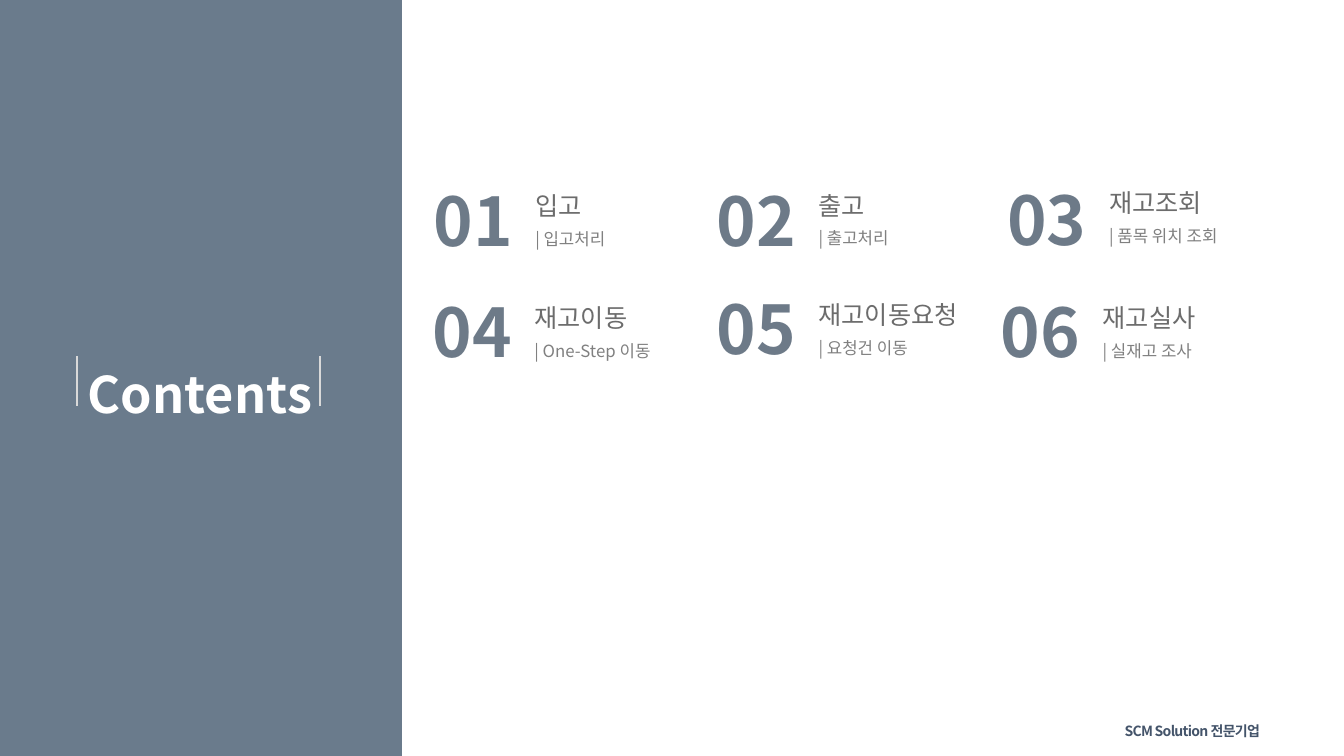
from dataclasses import dataclass

import pptx
import pptx.dml.color
import pptx.enum.shapes
import pptx.enum.text
import pptx.oxml.ns
import pptx.util

FONT = "Noto Sans CJK KR"
COLORS = {
    "panel": "6A7B8C",
    "title": "FFFFFF",
    "rule": "D9D9D9",
    "number": "6D7A88",
    "heading": "6C6C6C",
    "detail": "808080",
    "footer": "44546A",
}
ALIGN = pptx.enum.text.PP_ALIGN
HEADING_OFFSET = 1.91
DETAIL_OFFSET = 0.96


@dataclass(frozen=True)
class Style:
    size: float
    color: str
    bold: bool = False
    align: ALIGN = ALIGN.LEFT
    wrap: bool = True


@dataclass(frozen=True)
class Chapter:
    number: str
    heading: str
    detail: str
    left: float
    top: float
    heading_top: float


TITLE = Style(36, "title", True, ALIGN.CENTER, False)
NUMBER = Style(48, "number", True, ALIGN.CENTER, False)
HEADING = Style(18, "heading")
DETAIL = Style(12, "detail")
FOOTER = Style(10, "footer", True, ALIGN.RIGHT)

CHAPTERS = [
    Chapter("01", "입고", "| 입고처리", 11.33, 4.39, 4.67),
    Chapter("02", "출고", "| 출고처리", 18.47, 4.39, 4.66),
    Chapter("03", "재고조회", "| 품목 위치 조회", 25.79, 4.37, 4.6),
    Chapter("04", "재고이동", "| One-Step 이동", 11.31, 7.19, 7.49),
    Chapter("05", "재고이동요청", "| 요청건 이동", 18.47, 7.11, 7.42),
    Chapter("06", "재고실사", "| 실재고 조사", 25.63, 7.19, 7.49),
]


def color(name: str) -> pptx.dml.color.RGBColor:
    return pptx.dml.color.RGBColor.from_string(COLORS[name])


def place(shape, left: float, top: float, width: float, height: float) -> None:
    shape.left, shape.top = pptx.util.Cm(left), pptx.util.Cm(top)
    shape.width, shape.height = pptx.util.Cm(width), pptx.util.Cm(height)


def write(shape, text: str, style: Style):
    """Fill a text shape with one styled run and return the paragraph."""
    frame = shape.text_frame
    frame.word_wrap = style.wrap
    frame.auto_size = pptx.enum.text.MSO_AUTO_SIZE.NONE
    frame.vertical_anchor = pptx.enum.text.MSO_ANCHOR.TOP
    paragraph = frame.paragraphs[0]
    paragraph.alignment = style.align
    run = paragraph.add_run()
    run.text = text
    run.font.size = pptx.util.Pt(style.size)
    run.font.bold = style.bold
    run.font.color.rgb = color(style.color)
    run.font.name = FONT
    properties = run.font._element
    east_asian = pptx.oxml.ns.qn("a:ea")
    properties.find(pptx.oxml.ns.qn("a:latin")).addnext(
        properties.makeelement(east_asian, {"typeface": FONT})
    )
    return paragraph


def add_text(slide, left: float, top: float, width: float, height: float,
             text: str, style: Style):
    box = slide.shapes.add_textbox(0, 0, 0, 0)
    place(box, left, top, width, height)
    return write(box, text, style)


def add_panel(slide) -> None:
    """Add the side panel behind the title placeholder."""
    panel = slide.shapes.add_shape(pptx.enum.shapes.MSO_SHAPE.RECTANGLE, 0, 0, 0, 0)
    place(panel, 0, 0, 10.13, 19.05)
    panel.shadow.inherit = False
    panel.fill.solid()
    panel.fill.fore_color.rgb = color("panel")
    panel.line.fill.background()
    slide.shapes.title._element.addprevious(panel._element)


def add_title(slide) -> None:
    title = slide.shapes.title
    place(title, 1.54, 8.26, 7, 2.54)
    write(title, "Contents", TITLE).line_spacing = 1.5


def add_title_rule(slide, left: float) -> None:
    x = pptx.util.Cm(left)
    rule = slide.shapes.add_connector(
        pptx.enum.shapes.MSO_CONNECTOR.STRAIGHT,
        x, pptx.util.Cm(8.97), x, pptx.util.Cm(10.24),
    )
    rule.line.color.rgb = color("rule")
    rule.line.width = pptx.util.Pt(1.25)
    properties = rule._element.spPr
    properties.append(properties.makeelement(pptx.oxml.ns.qn("a:effectLst"), {}))


def add_chapter(slide, chapter: Chapter) -> None:
    text_left = chapter.left + HEADING_OFFSET
    detail_top = chapter.heading_top + DETAIL_OFFSET
    add_text(slide, chapter.left, chapter.top, 1.19, 1.6, chapter.number, NUMBER)
    add_text(slide, text_left, chapter.heading_top, 5.49, 0.97, chapter.heading, HEADING)
    add_text(slide, text_left, detail_top, 5.49, 0.66, chapter.detail, DETAIL)


def add_footer(slide) -> None:
    paragraph = add_text(slide, 24.13, 18.08, 7.87, 0.71, "SCM Solution 전문기업", FOOTER)
    paragraph.runs[0].font._element.set("spc", "-50")


def main() -> None:
    presentation = pptx.Presentation()
    presentation.slide_width = pptx.util.Cm(33.87)
    presentation.slide_height = pptx.util.Cm(19.05)
    slide = presentation.slides.add_slide(presentation.slide_layouts[5])
    add_panel(slide)
    add_title(slide)
    for left in (1.94, 8.06):
        add_title_rule(slide, left)
    for chapter in CHAPTERS:
        add_chapter(slide, chapter)
    add_footer(slide)
    presentation.save("out.pptx")


if __name__ == "__main__":
    main()
